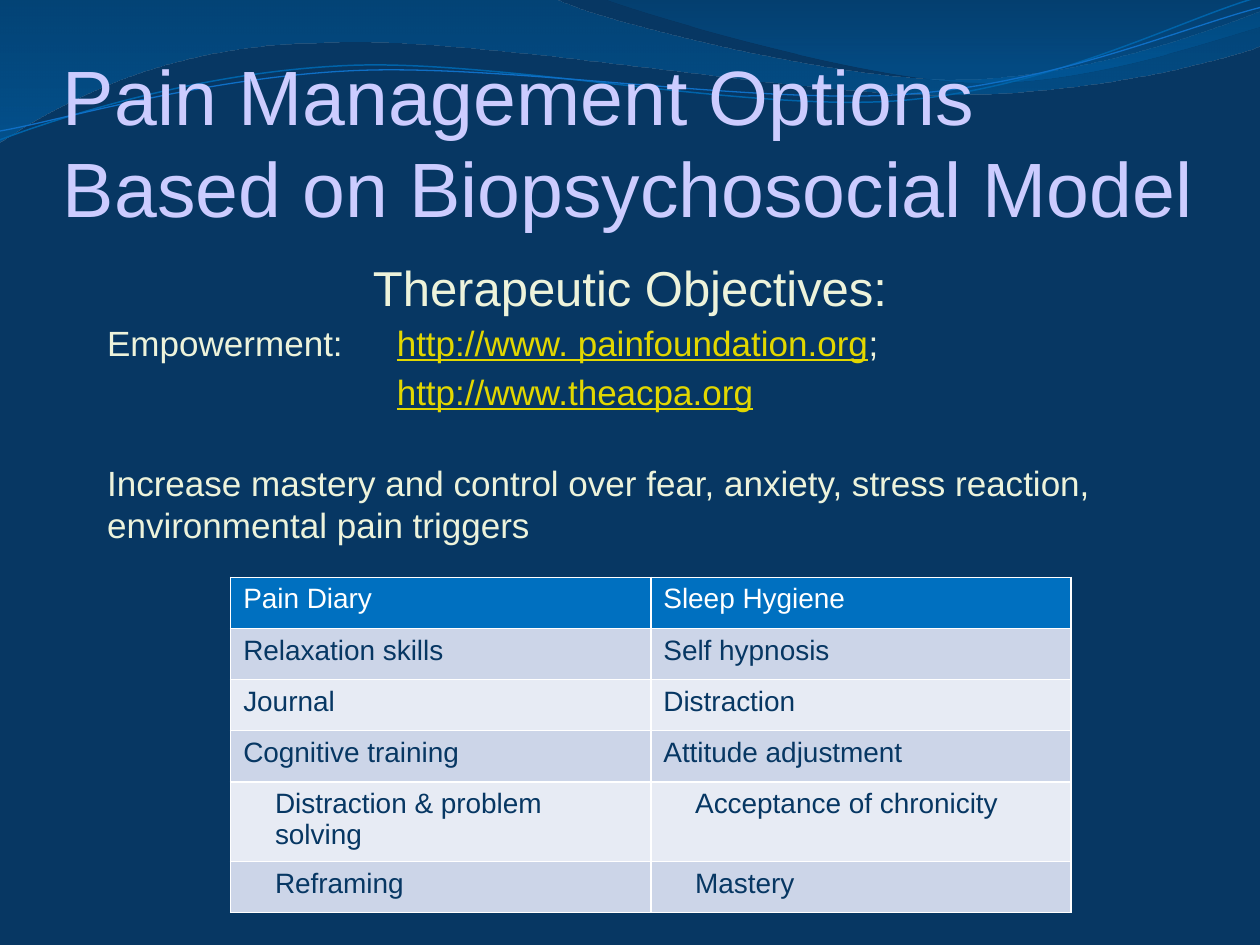
from lxml.etree import SubElement
from pptx import Presentation
from pptx.dml.color import RGBColor
from pptx.enum.text import MSO_ANCHOR as Anchor, PP_ALIGN as Align
from pptx.oxml import parse_xml
from pptx.oxml.ns import nsdecls, qn
from pptx.util import Cm, Pt

FONT = "Arial"
NAVY, LILAC, CREAM, YELLOW, WHITE = "073763", "CCCCFF", "EDF3DB", "E2D700", "FFFFFF"
HEADER_FILL, BAND_FILLS = "0070C0", ("CCD5E8", "E7EBF4")

# Outlines in curve units: a 2-number step is a straight line, a 6-number step a Bezier curve.
CURVE_UNIT = 2.54  # cm
WAVES = [
    {"start": (0, -0.01),
     "steps": [(4.4, -0.01), (4.76, 0.17, 6.64, 0.63, 7.58, 0.63),
               (8.53, 0.63, 9.58, 0.26, 10, 0.09), (10.01, 0.36),
               (9.83, 0.44, 8.7, 0.76, 7.46, 0.75), (6.22, 0.75, 3.82, 0.28, 2.57, 0.34),
               (1.29, 0.35, 0.46, 0.83, -0.01, 1.13)],
     "stops": [(0, "00538E", 45), (1, "0066AE", 55)]},
    {"start": (4.79, -0.01),
     "steps": [(5.09, 0.11, 6.82, 0.62, 7.69, 0.65),
               (8.56, 0.69, 9.61, 0.32, 10, 0.21), (10, 0)],
     "stops": [(0, "00538E", 30), (0.8, "0063A9", 45)]},
]
STRANDS = [
    {"start": (0, 1.11),
     "steps": [(0.48, 0.93, 1.58, 0.57, 2.77, 0.52), (3.95, 0.47, 5.93, 0.89, 7.13, 0.8),
               (8.33, 0.71, 9.38, 0.15, 9.98, -0.02)],
     "line": ("0063A9", 0.85)},
    {"start": (0, 1.04),
     "steps": [(0.47, 0.96, 1.64, 0.61, 2.83, 0.56), (4.03, 0.51, 5.97, 0.83, 7.17, 0.75),
               (8.36, 0.67, 9.41, 0.21, 10, 0.06)],
     "line": ("0F6FC6", 0.75)},
]

# Each paragraph: spans of (text, colour, underlined), then left margin and first indent in cm.
LINK_MARGIN = 5.84
TEXTS = [
    {"at": (1.27, 1.27, 22.86, 3.43), "size": 44, "insets": (0, 0.13, 0, 0),
     "anchor": Anchor.BOTTOM,
     "paras": [{"spans": [("Pain Management Options Based on Biopsychosocial Model",
                           LILAC, False)]}]},
    {"at": (5.08, 5.08, 15.24, 1.7), "size": 28, "insets": (0.25, 0, 0.25, 0.13),
     "anchor": Anchor.TOP,
     "paras": [{"spans": [("Therapeutic Objectives:", CREAM, False)],
                "format": {"line_spacing": 1.1, "alignment": Align.CENTER}}]},
    {"at": (1.91, 6.35, 22.66, 5.08), "size": 20, "insets": (0.25, 0.13, 0.25, 0.13),
     "anchor": Anchor.TOP,
     "paras": [{"spans": [("Empowerment:\t", CREAM, False),
                          ("http://www. painfoundation.org", YELLOW, True),
                          (";", CREAM, False)],
                "indent": (LINK_MARGIN, -LINK_MARGIN)},
               {"spans": [("http://www.theacpa.org", YELLOW, True)],
                "indent": (LINK_MARGIN, 0), "format": {"space_before": Pt(4)}},
               {"spans": [("Increase mastery and control over fear, anxiety, stress reaction, "
                           "environmental pain triggers", CREAM, False)],
                "format": {"space_before": Pt(28)}}]},
]

SKILLS = [
    ("Pain Diary", "Sleep Hygiene"),
    ("Relaxation skills", "Self hypnosis"),
    ("Journal", "Distraction"),
    ("Cognitive training", "Attitude adjustment"),
    ("Distraction & problem solving", "Acceptance of chronicity"),
    ("Reframing", "Mastery"),
]
FIRST_SUB_ROW = 4
TABLE_AT = (4.65, 11.64, 16.94)
ROW_HEIGHT = 1.03
SUB_INDENT, SUB_RIGHT_MARGIN = 0.64, 0.7


def rgb(hex_string):
    return RGBColor.from_string(hex_string)


def apply(target, values):
    for name, value in values.items():
        setattr(target, name, value)


def set_indent(para, margin, first):
    props = para._p.get_or_add_pPr()
    props.set("marL", str(Cm(margin)))
    props.set("indent", str(Cm(first)))


def to_points(numbers):
    lengths = [Cm(number * CURVE_UNIT) for number in numbers]
    return list(zip(lengths[::2], lengths[1::2]))


def add_outline(page, item, close):
    """Draw straight steps between the end points, then bend those that are curves."""
    steps = [to_points(step) for step in item["steps"]]
    builder = page.shapes.build_freeform(*to_points(item["start"])[0])
    builder.add_line_segments([step[-1] for step in steps], close=close)
    shape = builder.convert_to_shape()
    shape.shadow.inherit = False
    segments = list(shape._element.spPr.iter(qn("a:lnTo")))
    for segment, step in zip(segments, steps):
        if len(step) == 3:
            segment.addprevious(parse_xml(
                f'<a:cubicBezTo {nsdecls("a")}>'
                + "".join(f'<a:pt x="{x - shape.left}" y="{y - shape.top}"/>' for x, y in step)
                + "</a:cubicBezTo>"))
            segment.getparent().remove(segment)
    return shape


def add_wave(page, wave):
    shape = add_outline(page, wave, True)
    shape.line.fill.background()
    shape.fill.gradient()
    shape.fill.gradient_angle = 270
    for stop, (position, colour, _) in zip(shape.fill.gradient_stops, wave["stops"]):
        stop.position = position
        stop.color.rgb = rgb(colour)
    colours = shape._element.spPr.iter(qn("a:srgbClr"))
    for element, (_, _, opacity) in zip(colours, wave["stops"]):
        SubElement(element, qn("a:alpha"), val=str(opacity * 1000))


def add_strand(page, strand):
    shape = add_outline(page, strand, False)
    colour, width = strand["line"]
    shape.fill.background()
    shape.line.color.rgb = rgb(colour)
    shape.line.width = Pt(width)


def add_text(page, item):
    box = page.shapes.add_textbox(*map(Cm, item["at"]))
    frame = box.text_frame
    left, top, right, bottom = map(Cm, item["insets"])
    apply(frame, {"word_wrap": True, "vertical_anchor": item["anchor"], "margin_left": left,
                  "margin_top": top, "margin_right": right, "margin_bottom": bottom})
    for i, content in enumerate(item["paras"]):
        para = frame.add_paragraph() if i else frame.paragraphs[0]
        set_indent(para, *content.get("indent", (0, 0)))
        apply(para, content.get("format", {}))
        for text, colour, underlined in content["spans"]:
            span = para.add_run()
            span.text = text
            apply(span.font, {"name": FONT, "size": Pt(item["size"]), "underline": underlined})
            span.font.color.rgb = rgb(colour)


def add_borders(cell, colour, width):
    props = cell._tc.get_or_add_tcPr()
    for i, side in enumerate(("lnL", "lnR", "lnT", "lnB")):
        props.insert(i, parse_xml(
            f'<a:{side} {nsdecls("a")} w="{Pt(width)}"><a:solidFill>'
            f'<a:srgbClr val="{colour}"/></a:solidFill></a:{side}>'))


def add_skills_table(page):
    table = page.shapes.add_table(len(SKILLS), len(SKILLS[0]), *map(Cm, TABLE_AT),
                                  Cm(len(SKILLS) * ROW_HEIGHT)).table
    for r, texts in enumerate(SKILLS):
        for c, text in enumerate(texts):
            cell = table.cell(r, c)
            cell.fill.solid()
            cell.fill.fore_color.rgb = rgb(BAND_FILLS[(r - 1) % 2] if r else HEADER_FILL)
            add_borders(cell, WHITE, 1)
            para = cell.text_frame.paragraphs[0]
            para.text = text
            if r >= FIRST_SUB_ROW:
                set_indent(para, SUB_INDENT, 0)
                cell.margin_right = Cm(SUB_RIGHT_MARGIN)
            for span in para.runs:
                apply(span.font, {"name": FONT, "size": Pt(16), "bold": False})
                span.font.color.rgb = rgb(NAVY if r else WHITE)


def main():
    deck = Presentation()
    apply(deck, {"slide_width": Cm(25.4), "slide_height": Cm(19.05)})
    page = deck.slides.add_slide(deck.slide_layouts[6])
    page.background.fill.solid()
    page.background.fill.fore_color.rgb = rgb(NAVY)
    for wave in WAVES:
        add_wave(page, wave)
    for strand in STRANDS:
        add_strand(page, strand)
    for item in TEXTS:
        add_text(page, item)
    add_skills_table(page)
    deck.save("out.pptx")


if __name__ == "__main__":
    main()
